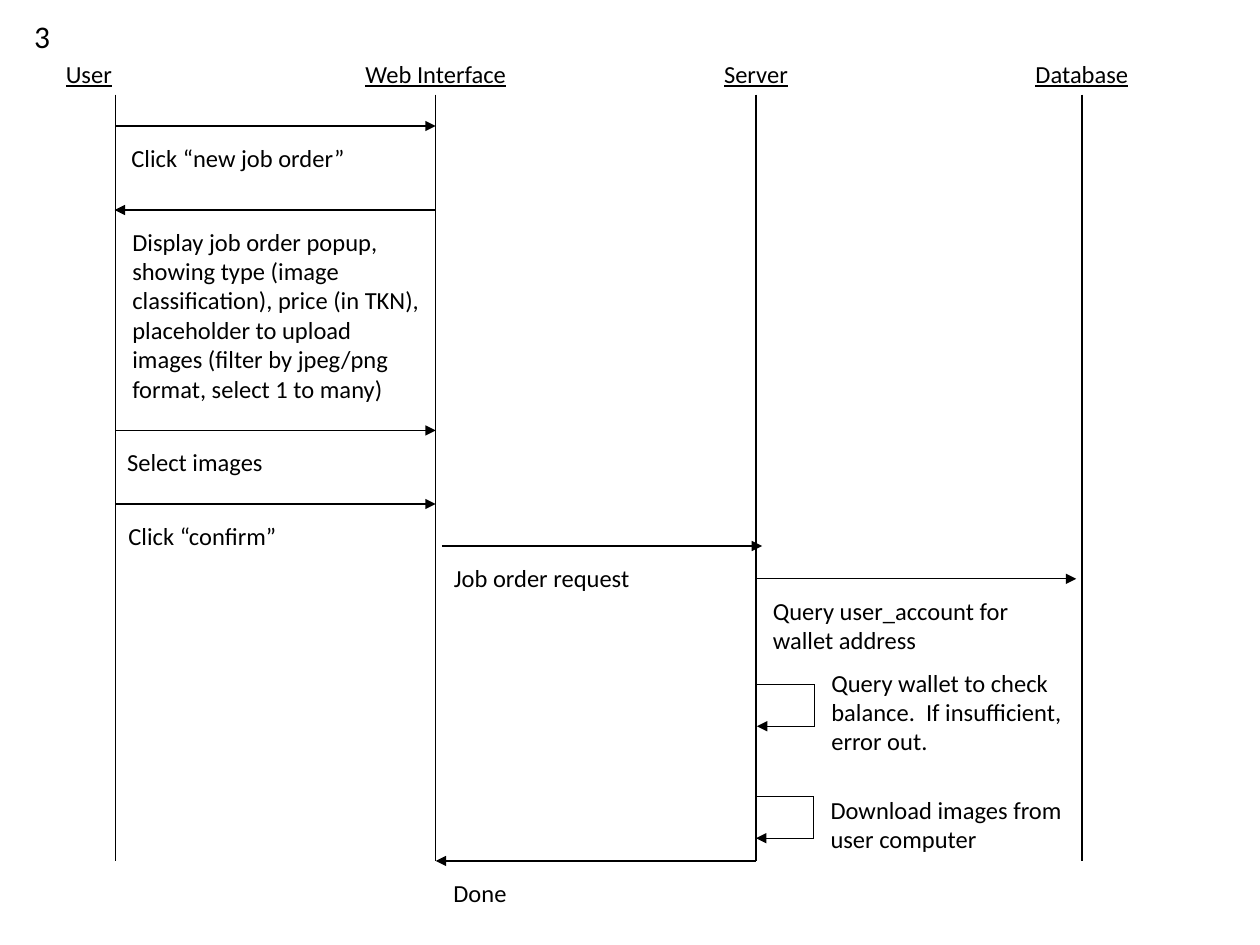
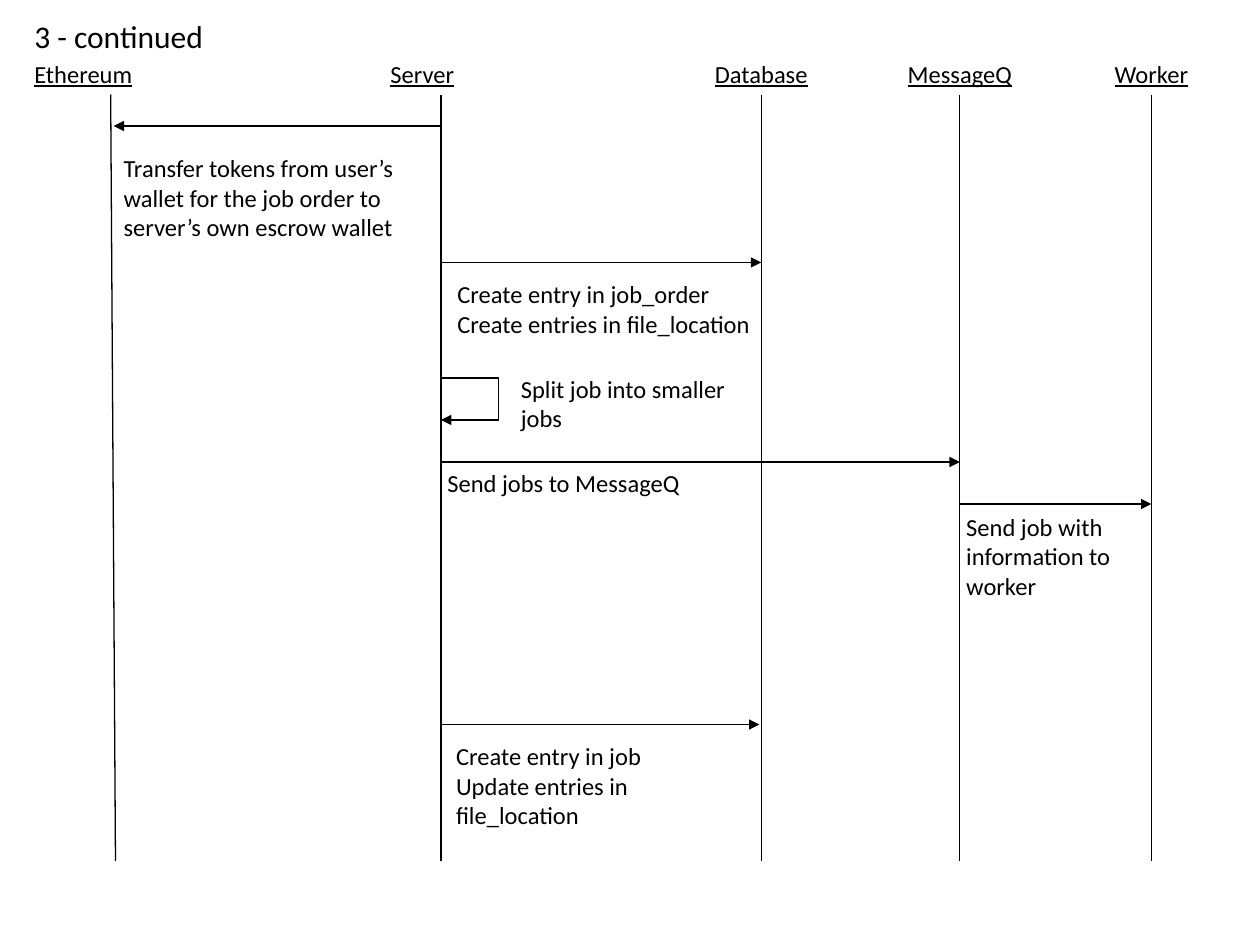
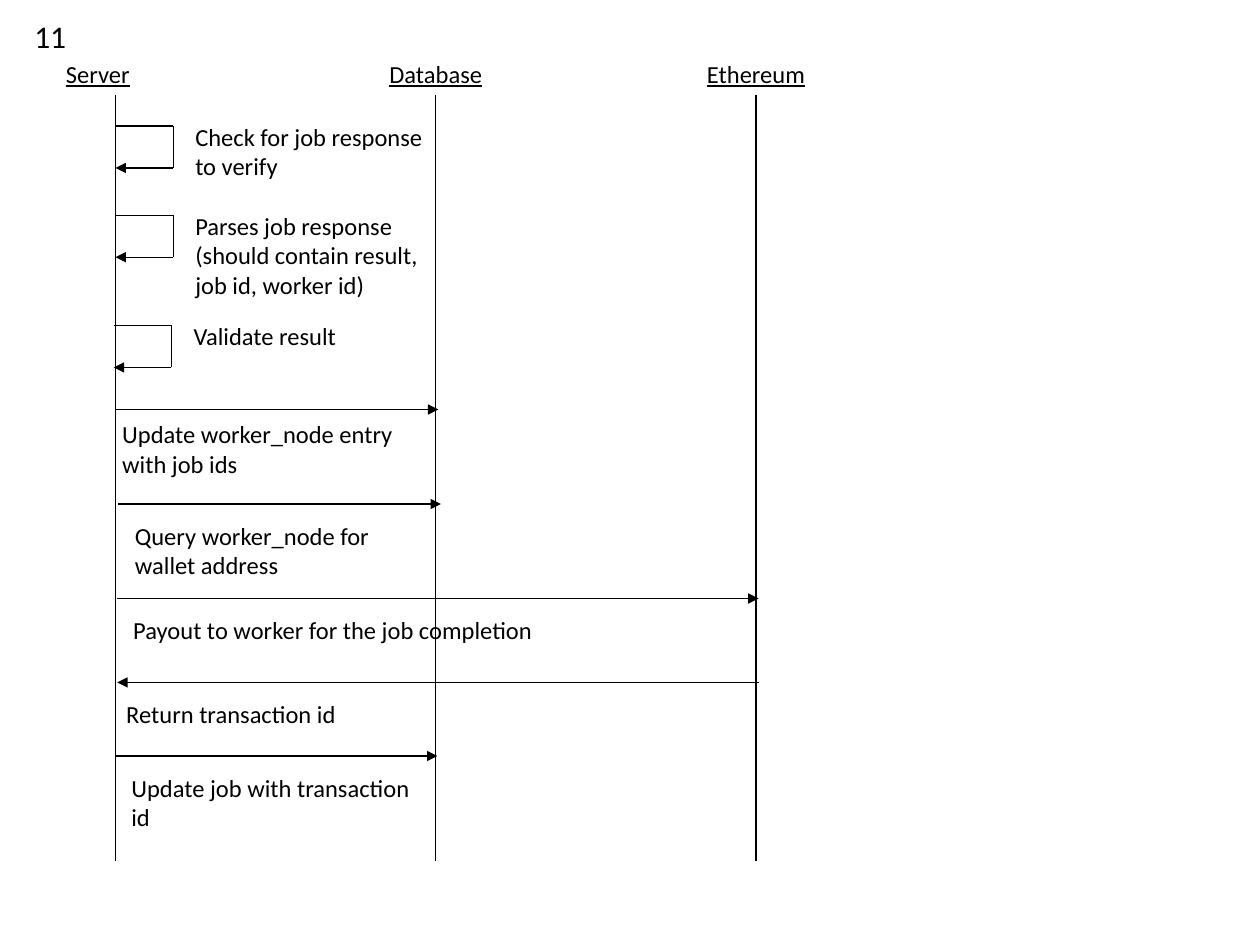
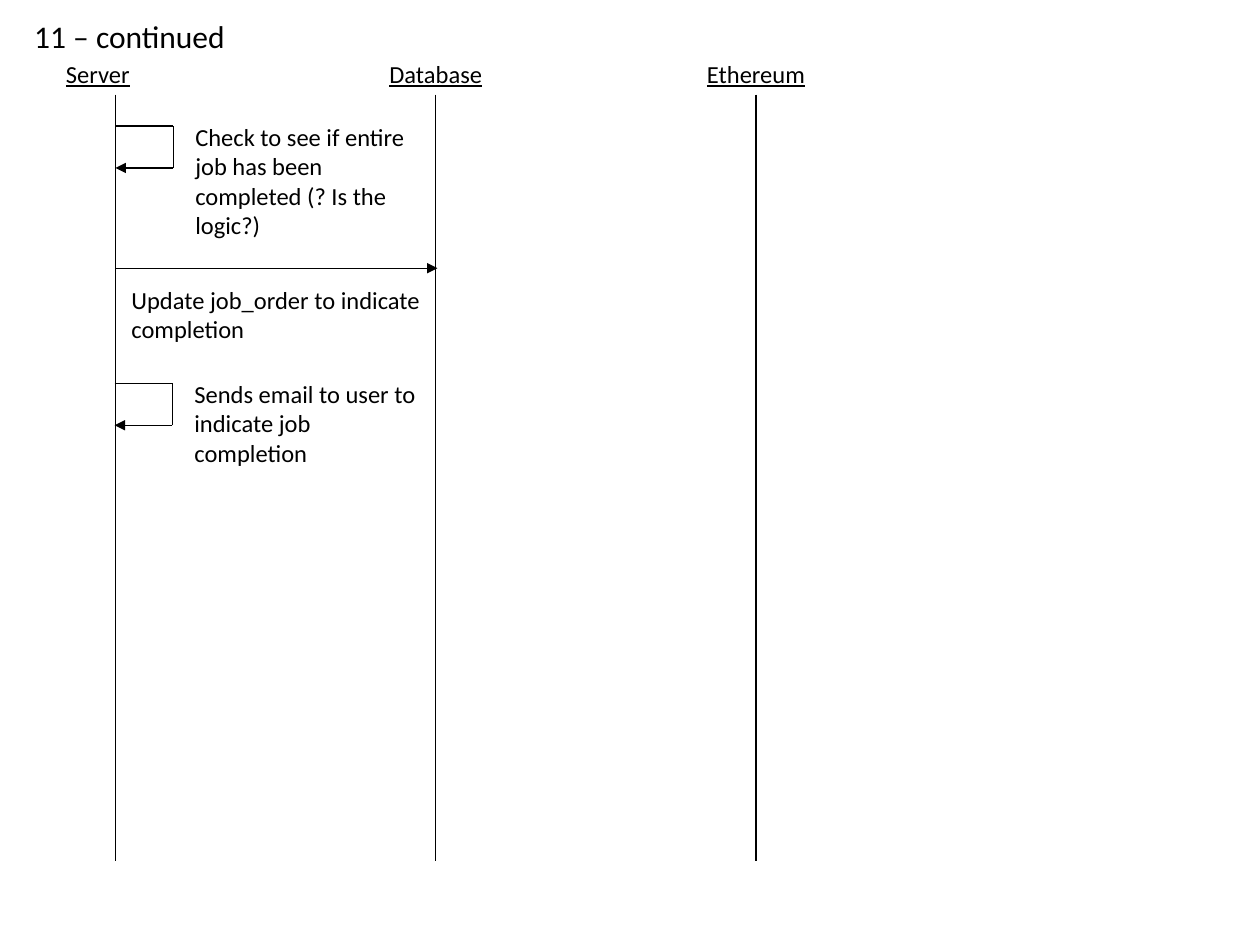
from lxml import etree
from pptx import Presentation
from pptx import util as u
from pptx.dml import color
from pptx.enum import shapes, text
from pptx.oxml import ns

Pt = u.Pt
COLOURS = {"ink": "000000"}
INK = color.RGBColor.from_string(COLOURS["ink"])
FONT = "Calibri"
INSET = 3.6

# Vertical frame and loop size shared by all diagrams
HEADING_TOP, LIFELINE_TOP, LIFELINE_FOOT = 30.25, 54, 492
LOOP_WIDTH, LOOP_HEIGHT = 33, 24


def add_label(slide, wording, left, top, width, lines=1, size=14, wrap=True,
              centred=False, underlined=False):
    height = 2 * INSET + size * 1.25 * lines
    box = slide.shapes.add_textbox(Pt(left), Pt(top), Pt(width), Pt(height))
    frame = box.text_frame
    frame.margin_left = frame.margin_right = Pt(INSET)
    frame.margin_top = frame.margin_bottom = Pt(INSET)
    frame.word_wrap = wrap
    frame.auto_size = text.MSO_AUTO_SIZE.SHAPE_TO_FIT_TEXT
    frame.text = wording
    for paragraph in frame.paragraphs:
        paragraph.alignment = text.PP_ALIGN.CENTER if centred else text.PP_ALIGN.LEFT
        for run in paragraph.runs:
            run.font.name = FONT
            run.font.size = Pt(size)
            run.font.color.rgb = INK
            if underlined:
                run.font.underline = True


def add_line(parent, x1, y1, x2, y2, arrow_end=None):
    """arrow_end is 'headEnd' (start of the line), 'tailEnd' (its end) or None."""
    line = parent.shapes.add_connector(shapes.MSO_CONNECTOR.STRAIGHT,
                                       Pt(x1), Pt(y1), Pt(x2), Pt(y2))
    line.line.color.rgb = INK
    line.line.width = Pt(0.75)
    if arrow_end:
        outline = line.line._get_or_add_ln()
        etree.SubElement(outline, ns.qn("a:" + arrow_end), type="triangle")
    etree.SubElement(line._element.spPr, ns.qn("a:effectLst"))


def add_participant(slide, name, x, width, left=None, foot_x=None):
    """Heading over a lifeline; centred on it unless a left edge is given."""
    centred = left is None
    add_label(slide, name, x - width / 2 if centred else left, HEADING_TOP,
              width, centred=centred, underlined=True)
    add_line(slide, x, LIFELINE_TOP, foot_x or x, LIFELINE_FOOT)


def add_message(slide, x1, x2, y, caption, left, width=176, lines=1, gap=6,
                reply=False):
    add_line(slide, x1, y, x2, y, "headEnd" if reply else "tailEnd")
    add_label(slide, caption, left, y + gap, width, lines)


def add_self_call(slide, x, y, caption, lines, indent=42, rise=6):
    loop = slide.shapes.add_group_shape()
    right, bottom = x + LOOP_WIDTH, y + LOOP_HEIGHT
    add_line(loop, x, y, right, y)
    add_line(loop, right, y, right, bottom)
    add_line(loop, right, bottom, x, bottom, "tailEnd")
    add_label(slide, caption, x + indent, y - rise, 139.75, lines)


def add_diagram(deck, title, title_width):
    slide = deck.slides.add_slide(deck.slide_layouts[6])
    add_label(slide, title, 16, 6, title_width, size=18, wrap=False)
    return slide


def job_order(deck):
    slide = add_diagram(deck, "3", 17)
    add_participant(slide, "User", 66, 65, left=34)
    add_participant(slide, "Web Interface", 249, 106.5)
    add_participant(slide, "Server", 432, 124.5)
    add_participant(slide, "Database", 618.25, 124.5)

    # User and web interface
    add_message(slide, 66, 249, 72, "Click “new job order”", 71.5)
    add_message(slide, 65.5, 248.5, 120,
                "Display job order popup, showing type (image classification), "
                "price (in TKN), placeholder to upload images (filter by "
                "jpeg/png format, select 1 to many)",
                72, 173, lines=6, reply=True)
    add_message(slide, 66, 249, 246, "Select images", 69)
    add_message(slide, 66, 249, 288, "Click “confirm”", 69.75)

    # Server side
    add_message(slide, 252.5, 435.5, 312, "Job order request", 255.75)
    add_message(slide, 432, 615, 330.75,
                "Query user_account for wallet address", 438, lines=2)
    add_self_call(slide, 432.5, 391,
                  "Query wallet to check balance.  If insufficient, error out.",
                  3, indent=39, rise=13)
    add_self_call(slide, 432, 455, "Download images from user computer",
                  2, indent=39, rise=4.5)
    add_message(slide, 249, 432, LIFELINE_FOOT, "Done", 255.5, 173, reply=True)


def job_order_continued(deck):
    slide = add_diagram(deck, "3 - continued", 104.5)
    add_participant(slide, "Ethereum", 63.25, 95, left=16, foot_x=66)
    add_participant(slide, "Server", 252, 65, left=219.5)
    add_participant(slide, "Database", 435, 106.5)
    add_participant(slide, "MessageQ", 548.5, 124.5)
    add_participant(slide, "Worker", 658, 124.5)

    # Payment and records
    add_message(slide, 65, 251.5, 72,
                "Transfer tokens from user’s wallet for the job order to "
                "server’s own escrow wallet",
                67, 183, lines=3, gap=12, reply=True)
    add_message(slide, 252, 435, 150,
                "Create entry in job_order\nCreate entries in file_location",
                257.75, lines=2)

    # Job distribution
    add_self_call(slide, 252, 216, "Split job into smaller jobs", 2)
    add_message(slide, 251.5, 548.5, 264, "Send jobs to MessageQ", 252, gap=0)
    add_message(slide, 548.5, 658, 288, "Send job with information to worker",
                548.5, 109.5, lines=3, gap=1)
    add_message(slide, 251.5, 434, 414,
                "Create entry in job\nUpdate entries in file_location",
                257, lines=3)


def add_payout_participants(slide):
    add_participant(slide, "Server", 66, 65, left=34)
    add_participant(slide, "Database", 249, 106.5)
    add_participant(slide, "Ethereum", 432, 124.5)


def job_response(deck):
    slide = add_diagram(deck, "11", 26)
    add_payout_participants(slide)

    # Checks on the server
    add_self_call(slide, 66, 72, "Check for job response to verify", 2)
    add_self_call(slide, 66, 123,
                  "Parses job response (should contain result, job id, worker id)", 3)
    add_self_call(slide, 65, 186, "Validate result", 1)

    # Records and payout
    add_message(slide, 66, 250.5, 234, "Update worker_node entry with job ids",
                66.25, 175, lines=2, gap=2)
    add_message(slide, 67.5, 252, 288, "Query worker_node for wallet address",
                73.5, 175, lines=2)
    add_message(slide, 67, 433.5, 342, "Payout to worker for the job completion",
                72.5, 357)
    add_message(slide, 67, 433.5, 390, "Return transaction id", 68.5, 173,
                reply=True)
    add_message(slide, 66, 250, 432, "Update job with transaction id",
                71.5, 175, lines=2)


def job_completion(deck):
    slide = add_diagram(deck, "11 – continued", 122.5)
    add_payout_participants(slide)
    add_self_call(slide, 66, 72,
                  "Check to see if entire job has been completed (? Is the logic?)", 4)
    add_message(slide, 66, 250, 153.25, "Update job_order to indicate completion",
                71.5, 175, lines=2)
    add_self_call(slide, 65.5, 219,
                  "Sends email to user to indicate job completion", 3)


def main():
    deck = Presentation()
    deck.slide_width, deck.slide_height = Pt(720), Pt(540)
    job_order(deck)
    job_order_continued(deck)
    job_response(deck)
    job_completion(deck)
    deck.save("out.pptx")


main()
